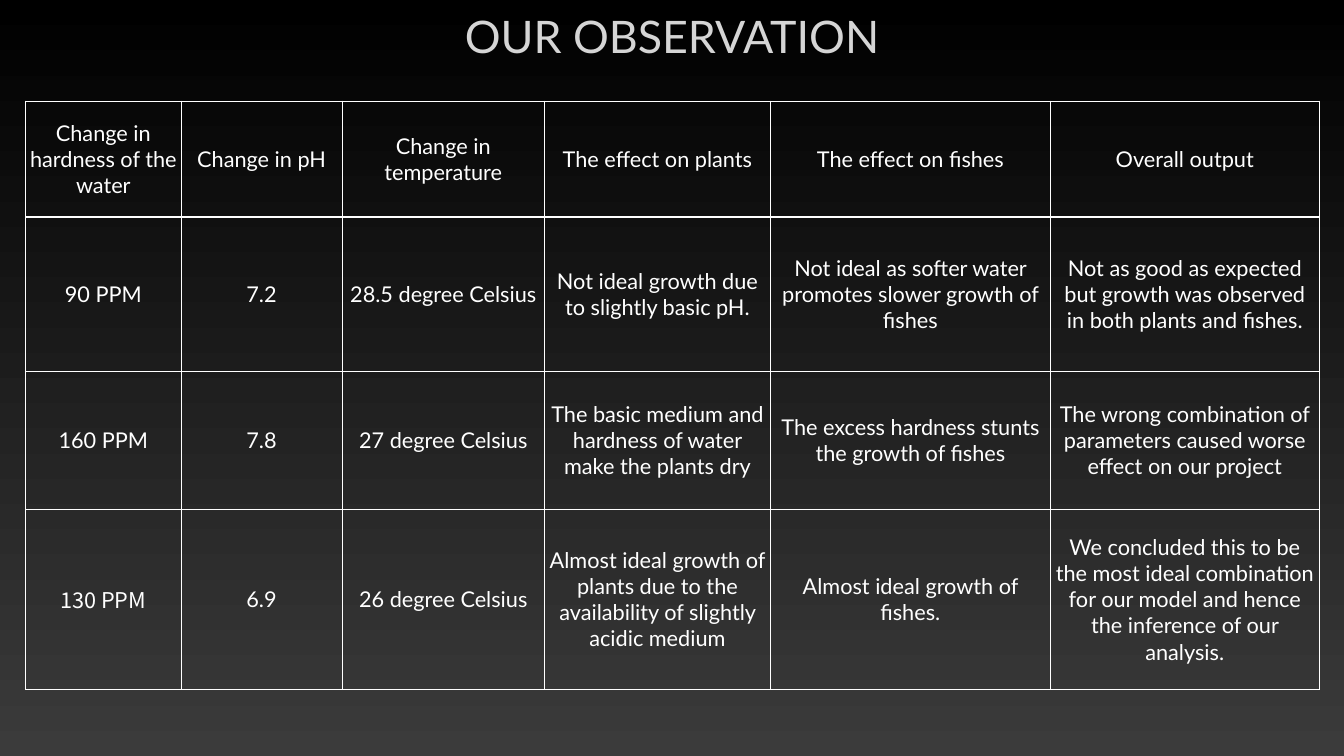
from lxml import etree
from pptx import Presentation
from pptx.dml.color import RGBColor
from pptx.enum.text import MSO_ANCHOR as Anchor, PP_ALIGN as Align
from pptx.oxml.ns import qn
from pptx.util import Inches, Pt

COLORS = {"top": "000000", "bottom": "3B3B3B", "title": "D5D5D5", "table": "FFFFFF"}
FONT = "Lato"
LAST_HARDNESS_FONT = "Noto Sans CJK KR"
MARGIN = Inches(0.06)

COLUMN_WIDTHS = [3.08, 3.2, 4.01, 4.49, 5.55, 5.34]
ROW_HEIGHTS = [2.3, 3.06, 2.75, 3.57]
ROWS = [
    ["Change in hardness of the water", "Change in pH", "Change in temperature",
     "The effect on plants", "The effect on fishes", "Overall output"],
    ["90 PPM", "7.2", "28.5 degree Celsius",
     "Not ideal growth due to slightly basic pH.",
     "Not ideal as softer water promotes slower growth of fishes",
     "Not as good as expected but growth was observed in both plants and fishes."],
    ["160 PPM", "7.8", "27 degree Celsius",
     "The basic medium and hardness of water make the plants dry",
     "The excess hardness stunts the growth of fishes",
     "The wrong combination of parameters caused worse effect on our project"],
    ["130 PPM", "6.9", "26 degree Celsius",
     "Almost ideal growth of plants due to the availability of slightly acidic medium",
     "Almost ideal growth of fishes.",
     "We concluded this to be the most ideal combination for our model "
     "and hence the inference of our analysis."],
]


def format_text(text_frame, size, color, font_name=FONT):
    paragraph = text_frame.paragraphs[0]
    paragraph.alignment = Align.CENTER
    font = paragraph.runs[0].font
    font.name, font.size, font.bold = font_name, Pt(size), False
    font.color.rgb = RGBColor.from_string(COLORS[color])


def add_borders(cell, widths):
    properties = cell._tc.get_or_add_tcPr()
    for index, (side, width) in enumerate(widths.items()):
        line = etree.Element(qn(f"a:ln{side}"), w=str(Pt(width)))
        fill = etree.SubElement(line, qn("a:solidFill"))
        etree.SubElement(fill, qn("a:srgbClr"), val=COLORS["table"])
        properties.insert(index, line)


presentation = Presentation()
presentation.slide_width = Inches(26.67)
presentation.slide_height = Inches(15)
slide = presentation.slides.add_slide(presentation.slide_layouts[6])

# Background gradient, dark at the top
background = slide.background.fill
background.gradient()
background.gradient_angle = 270
for stop, name, position in zip(background.gradient_stops, ("top", "bottom"), (0, 1)):
    stop.color.rgb = RGBColor.from_string(COLORS[name])
    stop.position = position

# Observation table
table = slide.shapes.add_table(
    len(ROWS), len(COLUMN_WIDTHS), Inches(0.51), Inches(2),
    Inches(sum(COLUMN_WIDTHS)), Inches(sum(ROW_HEIGHTS))).table
table.first_row = table.horz_banding = False
for column, width in zip(table.columns, COLUMN_WIDTHS):
    column.width = Inches(width)
for row, height in zip(table.rows, ROW_HEIGHTS):
    row.height = Inches(height)

for row_index, texts in enumerate(ROWS):
    for column_index, text in enumerate(texts):
        cell = table.cell(row_index, column_index)
        cell.margin_left = cell.margin_right = MARGIN
        cell.margin_top = cell.margin_bottom = MARGIN
        cell.vertical_anchor = Anchor.MIDDLE
        cell.text_frame.text = text
        is_last_hardness = (row_index, column_index) == (len(ROWS) - 1, 0)
        format_text(cell.text_frame, 31, "table",
                    LAST_HARDNESS_FONT if is_last_hardness else FONT)
        cell.fill.background()
        # A heavier rule separates the header from the body
        add_borders(cell, {"L": 1, "R": 1,
                           "T": 3 if row_index == 1 else 1,
                           "B": 3 if row_index == 0 else 1})

# Title
title = slide.shapes.add_textbox(Inches(1.39), Inches(0.12), Inches(23.89), Inches(1.76))
title_frame = title.text_frame
title_frame.word_wrap = True
title_frame.margin_left = title_frame.margin_right = MARGIN
title_frame.margin_top = title_frame.margin_bottom = MARGIN
title_frame.text = "OUR OBSERVATION"
format_text(title_frame, 64, "title")

presentation.save("out.pptx")
